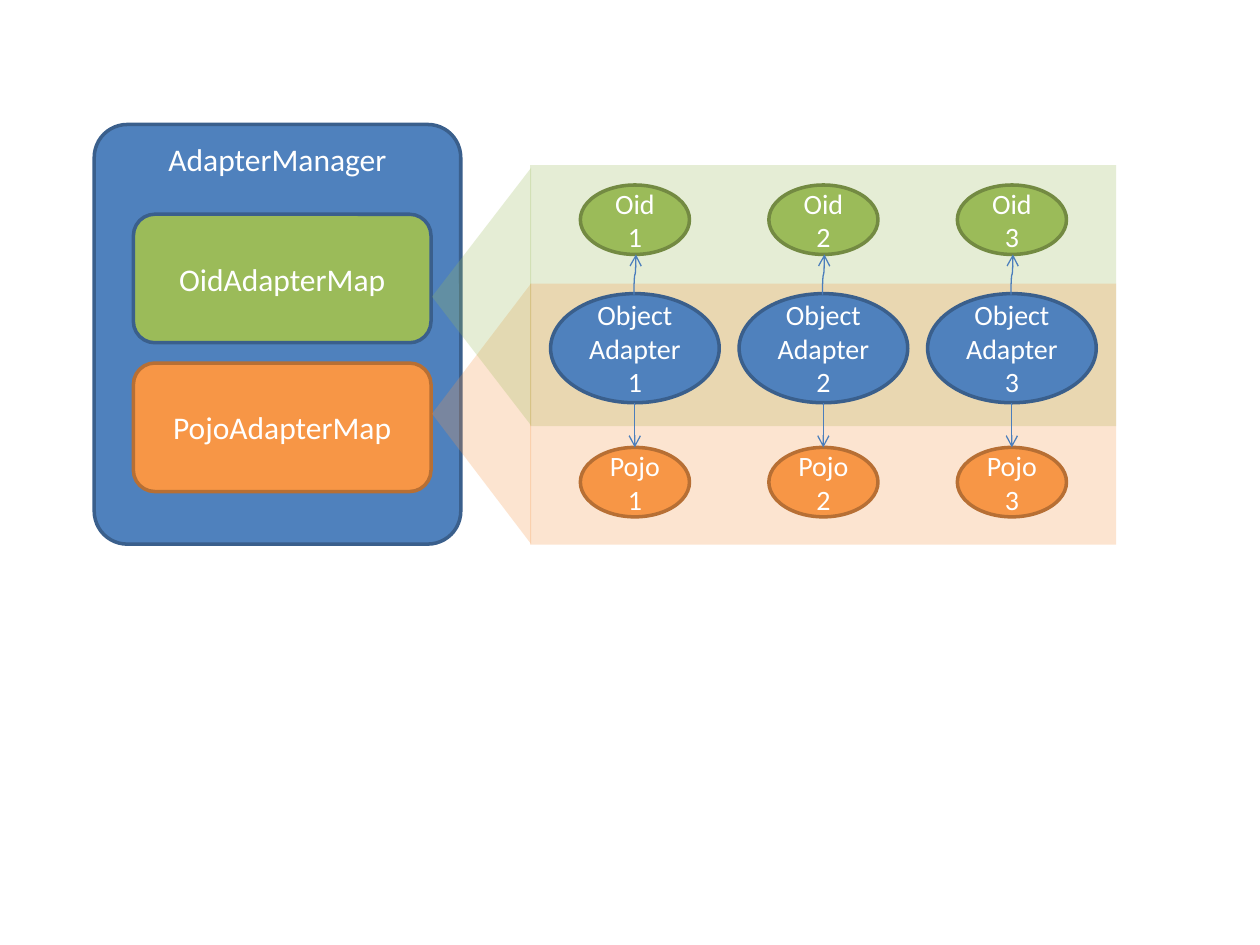
"""Build the slide showing an adapter manager and its two maps over three object adapters."""
from lxml import etree
from pptx import Presentation
from pptx.dml.color import RGBColor
from pptx.enum.shapes import MSO_CONNECTOR, MSO_SHAPE
from pptx.enum.text import MSO_ANCHOR, PP_ALIGN
from pptx.oxml.ns import qn
from pptx.util import Cm, Pt

ROUNDED = MSO_SHAPE.ROUNDED_RECTANGLE
OVAL = MSO_SHAPE.OVAL
TRIANGLE = MSO_SHAPE.ISOSCELES_TRIANGLE
CURVE = MSO_CONNECTOR.CURVE
TOP, MIDDLE = MSO_ANCHOR.TOP, MSO_ANCHOR.MIDDLE
CENTER = PP_ALIGN.CENTER

FONT = "Calibri"
WHITE = RGBColor(0xFF, 0xFF, 0xFF)
BLUE = RGBColor(0x4F, 0x81, 0xBD)
DARK_BLUE = RGBColor(0x3A, 0x5F, 0x8C)
GREEN = RGBColor(0x9B, 0xBB, 0x59)
DARK_GREEN = RGBColor(0x73, 0x8A, 0x42)
ORANGE = RGBColor(0xF7, 0x96, 0x46)
DARK_ORANGE = RGBColor(0xB7, 0x6F, 0x34)
ARROW_BLUE = RGBColor(0x4B, 0x7E, 0xBC)

MANAGER = ("AdapterManager", (1.9, 2.51, 7.39, 8.46), BLUE, DARK_BLUE)
MAPS = [
    ("PojoAdapterMap", (2.69, 7.32, 6, 2.59), ORANGE, DARK_ORANGE),
    ("OidAdapterMap", (2.69, 4.32, 6, 2.59), GREEN, DARK_BLUE),
]
BANDS = [(3.33, GREEN), (5.72, ORANGE)]
BAND_LEFT, BAND_WIDTH, BAND_HEIGHT = 10.69, 11.81, 5.26
BEAMS = [(8.34, 5.26, ORANGE), (5.98, 5.2, GREEN)]
BEAM_CENTER, BEAM_DEPTH = 9.71, 2

NODES = [
    ("Oid{}", 3.73, 2.2, 1.4, GREEN, DARK_GREEN),
    ("Pojo {}", 9.02, 2.2, 1.4, ORANGE, DARK_ORANGE),
    ("Object\vAdapter {}", 5.92, 3.4, 2.2, BLUE, DARK_BLUE),
]
ARROWS = [(8.13, 9.02, 0), (5.94, 5.13, 0.04)]
FIRST_CENTER, COLUMN_STEP, COLUMNS = 12.8, 3.8, 3


def add_block(slide, kind, box, fill, outline=None):
    shape = slide.shapes.add_shape(kind, *(Cm(length) for length in box))
    shape.shadow.inherit = False
    shape.fill.solid()
    shape.fill.fore_color.rgb = fill
    if outline is None:
        shape.line.fill.background()
        color = shape.fill._xPr.find(".//" + qn("a:srgbClr"))
        etree.SubElement(color, qn("a:alpha"), val="25000")
    else:
        shape.line.color.rgb = outline
        shape.line.width = Pt(2)
    return shape


def write_label(shape, text, size, anchor=MIDDLE):
    frame = shape.text_frame
    frame.text = text
    frame.word_wrap = True
    frame.vertical_anchor = anchor
    paragraph = frame.paragraphs[0]
    paragraph.alignment = CENTER
    for run in paragraph.runs:
        run.font.name = FONT
        run.font.size = Pt(size)
        run.font.color.rgb = WHITE


def add_arrow(slide, center, start, end, drift):
    half = abs(end - start) / 2
    middle = (start + end) / 2
    upward = end < start
    tilt = drift / 2 if upward else -drift / 2
    connector = slide.shapes.add_connector(
        CURVE,
        Cm(center + half), Cm(middle + tilt),
        Cm(center - half), Cm(middle - tilt),
    )
    connector.line.color.rgb = ARROW_BLUE
    connector.line.width = Pt(0.75)
    properties = connector._element.spPr
    properties.find(qn("a:xfrm")).set("rot", "5400000" if upward else "16200000")
    etree.SubElement(properties.find(qn("a:ln")), qn("a:tailEnd"), type="arrow")
    etree.SubElement(properties, qn("a:effectLst"))


def add_column(slide, number):
    center = FIRST_CENTER + (number - 1) * COLUMN_STEP
    for text, top, width, height, fill, outline in NODES:
        box = (center - width / 2, top, width, height)
        node = add_block(slide, OVAL, box, fill, outline)
        write_label(node, text.format(number), 16)
    for start, end, drift in ARROWS:
        add_arrow(slide, center, start, end, drift)


def main():
    presentation = Presentation()
    presentation.slide_width = Cm(25.4)
    presentation.slide_height = Cm(19.05)
    slide = presentation.slides.add_slide(presentation.slide_layouts[6])

    for top, fill in BANDS:
        band = add_block(slide, ROUNDED, (BAND_LEFT, top, BAND_WIDTH, BAND_HEIGHT), fill)
        band.adjustments[0] = 0

    text, box, fill, outline = MANAGER
    manager = add_block(slide, ROUNDED, box, fill, outline)
    manager.adjustments[0] = 0.09
    write_label(manager, text, 18, TOP)
    for text, box, fill, outline in MAPS:
        write_label(add_block(slide, ROUNDED, box, fill, outline), text, 18)

    for number in range(1, COLUMNS + 1):
        add_column(slide, number)

    for middle, spread, fill in BEAMS:
        box = (BEAM_CENTER - spread / 2, middle - BEAM_DEPTH / 2, spread, BEAM_DEPTH)
        add_block(slide, TRIANGLE, box, fill).rotation = 270

    presentation.save("out.pptx")


if __name__ == "__main__":
    main()
